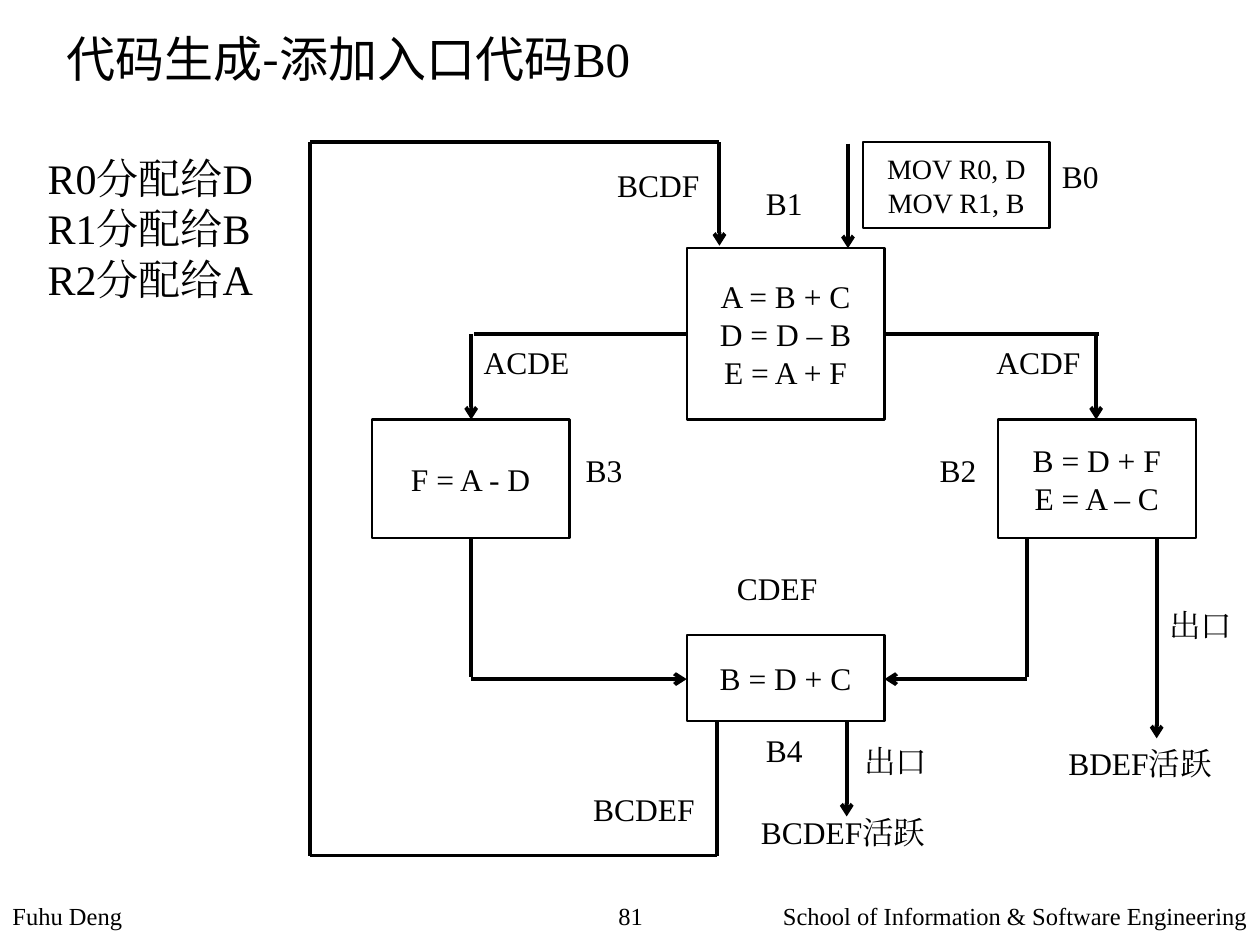
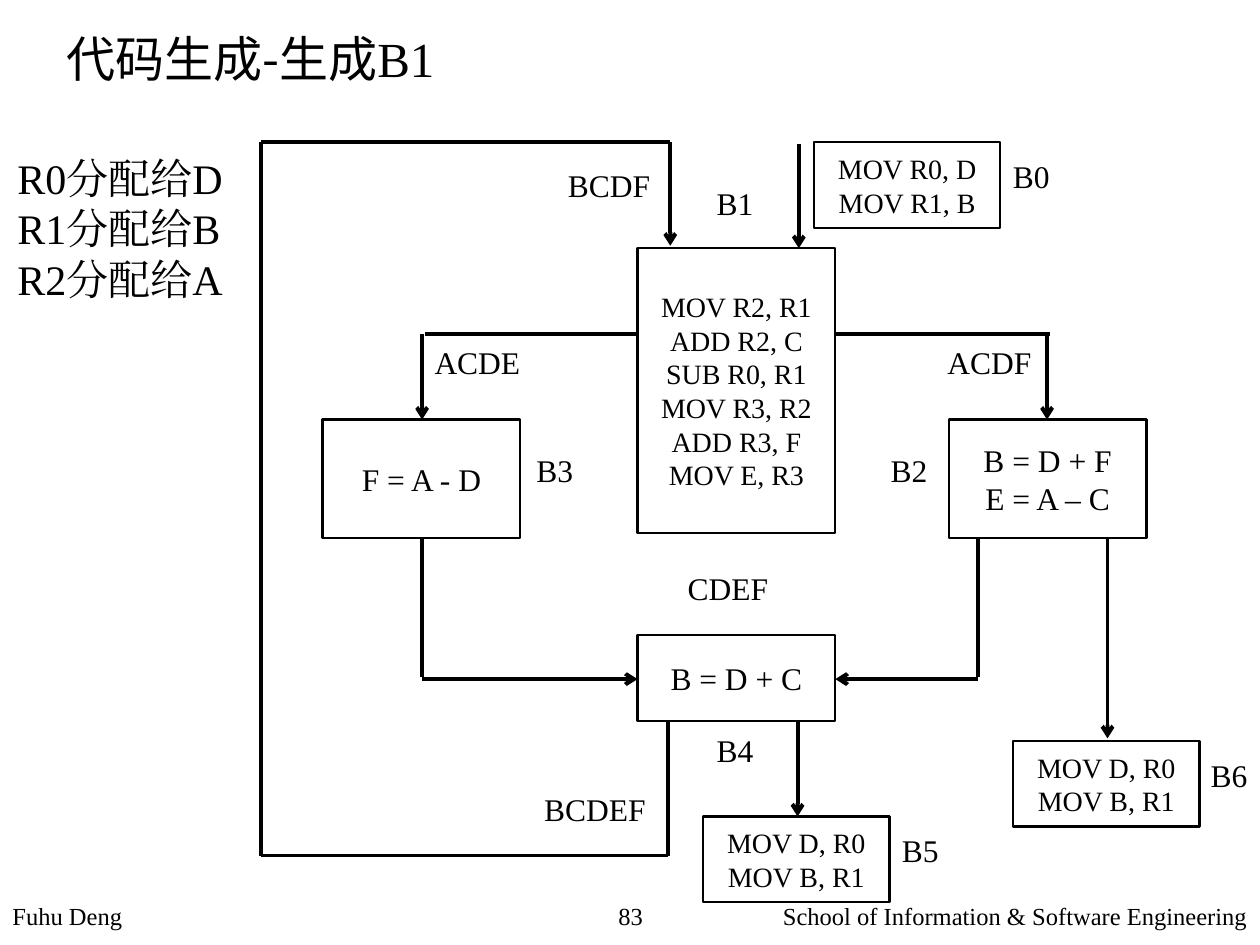
from lxml.etree import SubElement
from pptx import Presentation
from pptx.dml.color import RGBColor
from pptx.enum.shapes import MSO_CONNECTOR, MSO_SHAPE
from pptx.enum.text import MSO_ANCHOR, MSO_AUTO_SIZE, PP_ALIGN
from pptx.oxml.ns import qn
from pptx.util import Inches, Pt

HUES = {"ink": "000000", "page": "FFFFFF"}
INK = RGBColor.from_string(HUES["ink"])
SERIF, SANS = "Times New Roman", "Noto Sans CJK SC"
LEFT, MID, RIGHT = PP_ALIGN.LEFT, PP_ALIGN.CENTER, PP_ALIGN.RIGHT
TOP = MSO_ANCHOR.TOP
GROW, FIXED = MSO_AUTO_SIZE.SHAPE_TO_FIT_TEXT, MSO_AUTO_SIZE.NONE


def write(frame, rows, size, align=LEFT, anchor=TOP, wrap=True, fit=FIXED):
    form = {"word_wrap": wrap, "auto_size": fit, "vertical_anchor": anchor}
    for key, val in form.items():
        setattr(frame, key, val)
    for i, row in enumerate(rows):
        para = frame.add_paragraph() if i else frame.paragraphs[0]
        para.alignment = align
        for text, face in row if isinstance(row, list) else [(row, SERIF)]:
            run = para.add_run()
            run.text = text
            for key, val in {"name": face, "size": Pt(size)}.items():
                setattr(run.font, key, val)
            run.font.color.rgb = INK
            SubElement(run._r.get_or_add_rPr(), qn("a:ea"), typeface=face)


def place(x, y, w, h):
    return [Inches(round(v, 2)) for v in (x, y, w, h)]


LOAD = ["MOV R0, D", "MOV R1, B"]
SAVE = ["MOV D, R0", "MOV B, R1"]
BLOCKS = [
    (7.92, 3.33, 1.57, 0.94, 18, ["B = D + F", "E = A – C"]),
    (2.95, 3.33, 1.57, 0.94, 18, ["F = A - D"]),
    (5.45, 5.04, 1.57, 0.68, 18, ["B = D + C"]),
    (6.85, 1.13, 1.48, 0.68, 16, LOAD),
]
EDGES = [
    (5.45, 2.65, 3.76, 2.65, False),
    (3.74, 2.65, 3.74, 3.33, True),
    (8.72, 2.65, 7.02, 2.65, False),
    (8.7, 2.65, 8.7, 3.33, True),
    (3.74, 4.27, 3.74, 5.37, False),
    (8.15, 4.27, 8.15, 5.37, False),
    (3.74, 5.39, 5.45, 5.39, True),
    (8.15, 5.39, 7.02, 5.39, True),
    (9.18, 4.27, 9.18, 5.86, True),
    (5.69, 5.73, 5.69, 6.79, False),
    (5.69, 6.79, 2.46, 6.79, False),
    (2.46, 1.13, 2.46, 6.79, False),
    (5.71, 1.13, 2.46, 1.13, False),
    (6.73, 1.14, 6.73, 1.97, True),
    (5.71, 1.13, 5.71, 1.95, True),
    (6.72, 5.73, 6.72, 6.48, True),
]
LABELS = [
    (4.61, 6.22, 1.02, "BCDEF"),
    (5.75, 4.47, 0.85, "CDEF"),
    (3.74, 2.67, 0.89, "ACDE"),
    (7.81, 2.67, 0.88, "ACDF"),
    (4.8, 1.27, 0.86, "BCDF"),
    (8.33, 1.2, 0.5, "B0"),
    (5.98, 1.41, 0.5, "B1"),
    (7.36, 3.53, 0.5, "B2"),
    (4.55, 3.53, 0.5, "B3"),
    (5.98, 5.75, 0.5, "B4"),
]
FOOT = [(0, 4.69, LEFT, "Fuhu Deng"),
        (5.31, 4.69, RIGHT, "School of Information & Software Engineering")]
REGS = ["R0分配给D", "R1分配给B", "R2分配给A"]

PAGES = [
    {
        "title": [("代码生成-添加入口代码", SANS), ("B0", SERIF)],
        "page": "81", "shift": 0, "regs": 0.28,
        "blocks": [(5.45, 1.97, 1.57, 1.36, 18,
                    ["A = B + C", "D = D – B", "E = A + F"])],
        "labels": [(9.18, 4.76, 0.71, "出口"), (6.76, 5.84, 0.71, "出口"),
                   (8.38, 5.86, 1.35, "BDEF活跃"),
                   (5.94, 6.4, 1.52, "BCDEF活跃")],
    },
    {
        "title": [("代码生成-生成", SANS), ("B1", SERIF)],
        "page": "83", "shift": -0.39, "regs": 0.04,
        "blocks": [(5.45, 1.97, 1.57, 2.26, 16,
                    ["MOV R2, R1", "ADD R2, C", "SUB R0, R1",
                     "MOV R3, R2", "ADD R3, F", "MOV E, R3"]),
                   (5.97, 6.48, 1.48, 0.68, 16, SAVE),
                   (8.43, 5.88, 1.48, 0.68, 16, SAVE)],
        "labels": [(7.45, 6.55, 0.5, "B5"), (9.9, 5.95, 0.49, "B6")],
    },
]

deck = Presentation()
deck.slide_width, deck.slide_height = Inches(10), Inches(7.5)

for page in PAGES:
    slide = deck.slides.add_slide(deck.slide_layouts[5])
    fill = slide.background.fill
    fill.solid()
    fill.fore_color.rgb = RGBColor.from_string(HUES["page"])
    shapes, dx = slide.shapes, page["shift"]

    title = shapes.title
    spot = place(0.43, 0.18, 7.16, 0.73)
    for key, val in zip(("left", "top", "width", "height"), spot):
        setattr(title, key, val)
    write(title.text_frame, [page["title"]], 28)

    for x, y, w, h, size, rows in BLOCKS + page["blocks"]:
        box = shapes.add_shape(MSO_SHAPE.RECTANGLE, *place(x + dx, y, w, h))
        box.shadow.inherit = False
        box.fill.background()
        box.line.color.rgb = INK
        box.line.width = Pt(1.25)
        write(box.text_frame, rows, size, MID, MSO_ANCHOR.MIDDLE)

    for x, y, to_x, to_y, arrow in EDGES:
        edge = shapes.add_connector(MSO_CONNECTOR.STRAIGHT,
                                    *place(x + dx, y, to_x + dx, to_y))
        edge.line.color.rgb = INK
        edge.line.width = Pt(2.25)
        if arrow:
            SubElement(edge.line._get_or_add_ln(), qn("a:tailEnd"), type="arrow")
        SubElement(edge._element.spPr, qn("a:effectLst"))

    for x, y, w, text in LABELS + page["labels"]:
        label = shapes.add_textbox(*place(x + dx, y, w, 0.4))
        write(label.text_frame, [text], 18, wrap="活跃" in text, fit=GROW)

    regs = shapes.add_textbox(*place(page["regs"], 1.16, 1.85, 1.31))
    write(regs.text_frame, REGS, 24, fit=GROW)

    for x, w, align, text in FOOT + [(4.69, 0.63, MID, page["page"])]:
        foot = shapes.add_textbox(*place(x, 7.1, w, 0.4))
        write(foot.text_frame, [text], 14, align)

deck.save("out.pptx")
